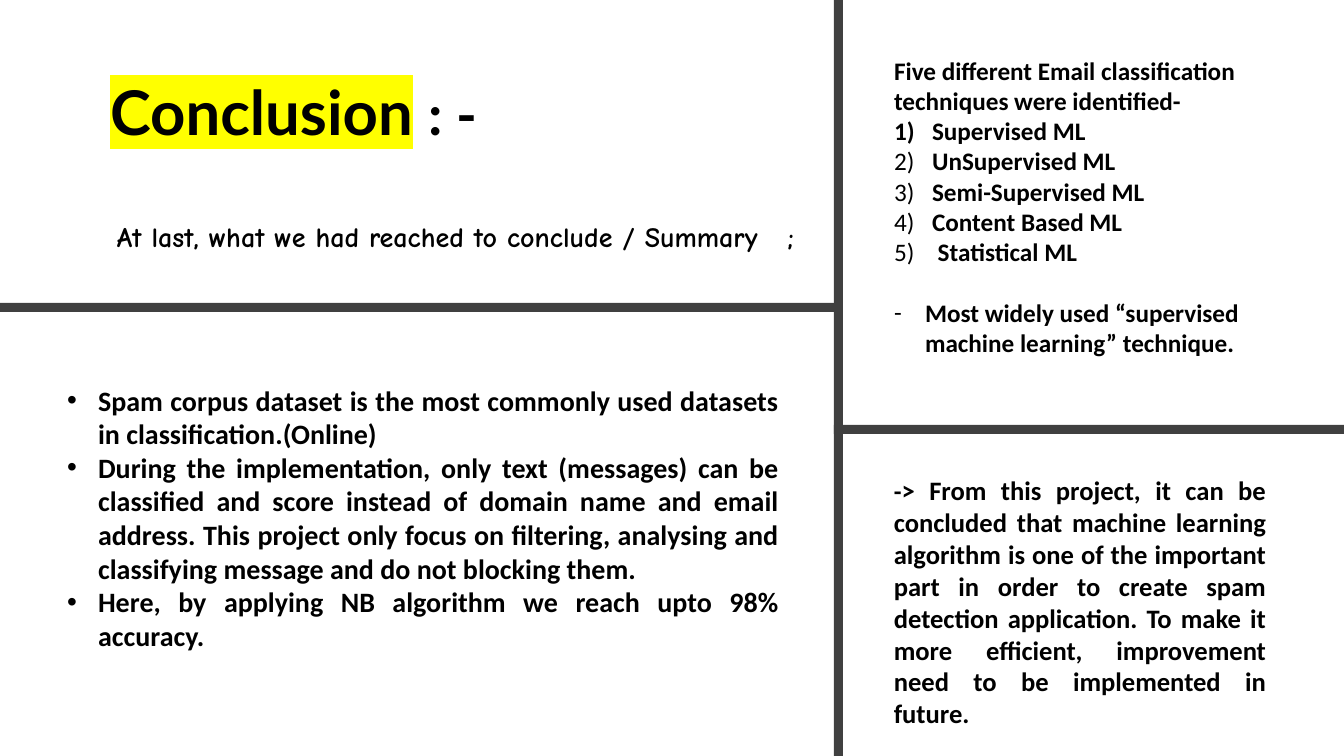
import pptx
import pptx.util
import pptx.dml.color
import pptx.enum.shapes
import pptx.enum.text
import pptx.oxml.ns
import lxml.etree

PX = 914400 / 100.8
ALIGN = pptx.enum.text.PP_ALIGN


def px(n):
    return pptx.util.Emu(round(n * PX))


def color(value):
    return pptx.dml.color.RGBColor.from_string(value)


def add_xml(parent, tag, **attrs):
    return lxml.etree.SubElement(parent, pptx.oxml.ns.qn(tag), **attrs)


class SlideBuilder:
    def __init__(self, s):
        self.s = s
        self.font, self.ink, self.bar_fill = "Calibri", "000000", "404040"

    def bar(self, x, y, w, h):
        sp = self.s.shapes.add_shape(
            pptx.enum.shapes.MSO_SHAPE.RECTANGLE, px(x), px(y), px(w), px(h))
        sp.shadow.inherit = False
        sp.fill.solid()
        sp.fill.fore_color.rgb = color(self.bar_fill)
        sp.line.fill.background()

    def place(self, sp, x, y, w, h):
        """Position a text shape and return its top-anchored frame."""
        sp.left, sp.top, sp.width, sp.height = px(x), px(y), px(w), px(h)
        tf = sp.text_frame
        tf.word_wrap = True
        tf.auto_size = pptx.enum.text.MSO_AUTO_SIZE.NONE
        tf.vertical_anchor = pptx.enum.text.MSO_ANCHOR.TOP
        return tf

    def text_box(self, x, y, w, h):
        sp = self.s.shapes.add_textbox(px(x), px(y), px(w), px(h))
        return self.place(sp, x, y, w, h)

    def run(self, p, text, size, font=None, bold=True):
        r = p.add_run()
        r.text = text
        r.font.size = pptx.util.Pt(size)
        r.font.name = font or self.font
        r.font.bold = bold
        r.font.color.rgb = color(self.ink)
        return r

    def paragraph(self, tf, align=ALIGN.LEFT, hang=0, bullet=None, before=0):
        """Start a paragraph; bullet is a character, "1)" for numbering, or None."""
        p = tf.paragraphs[0]
        if p.runs:
            p = tf.add_paragraph()
        p.alignment = align
        p.space_before = pptx.util.Pt(before)
        pPr = p._p.get_or_add_pPr()
        pPr.set("marL", str(px(hang)))
        pPr.set("indent", str(-px(hang)))
        if bullet is None:
            add_xml(pPr, "a:buNone")
        elif bullet == "1)":
            add_xml(pPr, "a:buFont", typeface=self.font)
            add_xml(pPr, "a:buAutoNum", type="arabicParenR")
        else:
            add_xml(pPr, "a:buFont", typeface="Arial" if bullet == "•" else self.font)
            add_xml(pPr, "a:buChar", char=bullet)
        return p

    def highlight(self, r, value):
        rPr = r.font._element
        mark = add_xml(rPr, "a:highlight")
        add_xml(mark, "a:srgbClr", val=value)
        rPr.find(pptx.oxml.ns.qn("a:solidFill")).addnext(mark)


def main():
    prs = pptx.Presentation()
    prs.slide_width, prs.slide_height = px(1344), px(756)
    s = prs.slides.add_slide(prs.slide_layouts.get_by_name("Two Content"))
    title, findings, techniques = s.placeholders
    b = SlideBuilder(s)

    for box in [(0, 303, 834, 9), (834, 0, 9, 756), (834, 425, 510, 9)]:
        b.bar(*box)

    p = b.paragraph(b.place(title, 100, 69, 611, 85))
    b.highlight(b.run(p, "Conclusion", 44, "Lato"), "FFFF00")
    b.run(p, " ", 44, "Lato")
    b.run(p, ": - ", 40, "Lato")

    p = b.paragraph(b.text_box(107, 215, 700, 44))
    b.run(p, "At last, what we had reached to conclude / Summary   ;", 20, "Comic Neue")

    tf = b.place(findings, 57, 378, 732, 346)
    for text in [
        "Spam corpus dataset is the most commonly used datasets in "
        "classification.(Online)",
        "During the implementation, only text (messages) can be classified and "
        "score instead of domain name and email address. This project only focus "
        "on filtering, analysing and classifying message and do not blocking them.",
        "Here, by applying NB algorithm we reach upto 98% accuracy.",
    ]:
        b.run(b.paragraph(tf, ALIGN.JUSTIFY, hang=31, bullet="•"), text, 20)

    tf = b.place(techniques, 884, 50, 385, 346)
    b.run(b.paragraph(tf),
          "Five different Email classification techniques were identified-", 18)
    b.run(b.paragraph(tf, hang=38, bullet="1)"), "Supervised ML", 18)
    others = ["UnSupervised ML", "Semi-Supervised ML", "Content Based ML",
              " Statistical ML"]
    for number, name in enumerate(others, 2):
        p = b.paragraph(tf, hang=38)
        b.run(p, f"{number})\t", 18, bold=False)
        b.run(p, name, 18)
    p = b.paragraph(tf, hang=31, bullet="-", before=22)
    b.run(p, "Most widely used “supervised machine learning” technique.", 18)

    p = b.paragraph(b.text_box(884, 469, 392, 268), ALIGN.JUSTIFY)
    b.run(p, "-", 18)
    b.run(p, "> From this project, it can be concluded that machine learning "
             "algorithm is one of the important part in order to create spam "
             "detection application. To make it more efficient, improvement need "
             "to be implemented in future.", 19)

    prs.save("out.pptx")


if __name__ == "__main__":
    main()
